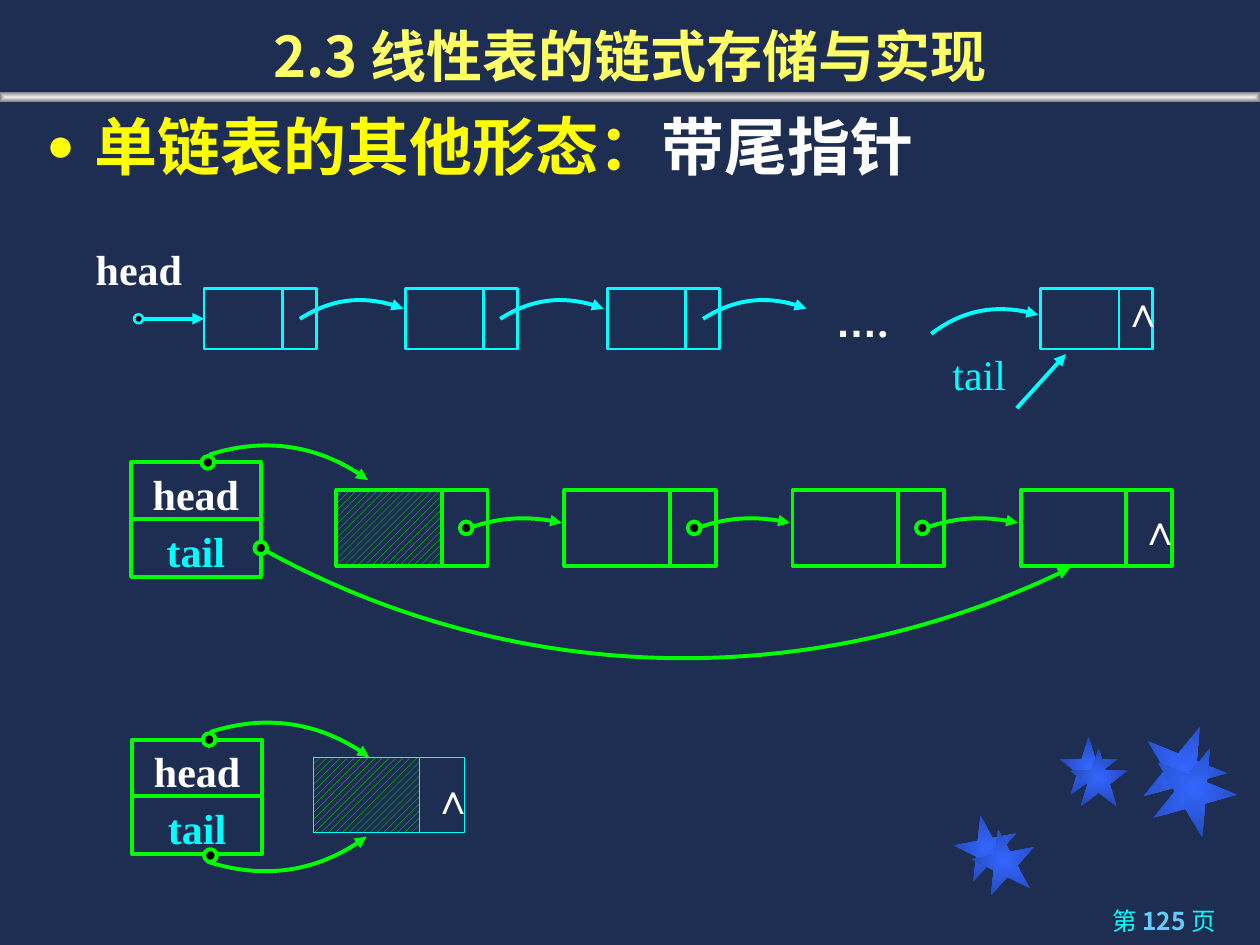
import pptx
import pptx.util
import pptx.dml.color
import pptx.enum.dml
import pptx.enum.shapes
import pptx.enum.text
import pptx.oxml.ns
from lxml import etree

Inches = pptx.util.Inches
Pt = pptx.util.Pt
SHAPE = pptx.enum.shapes.MSO_SHAPE
ALIGN = pptx.enum.text.PP_ALIGN
qn = pptx.oxml.ns.qn

COLORS = {
    "bg": "1E2E53", "cyan": "00FFFF", "green": "00FF00", "white": "FFFFFF",
    "yellow": "FFFF00", "title": "FFFF66", "number": "66CCFF", "black": "000000",
    "star": "3366FF", "star_edge": "2449B6", "bar": "EDEDED", "bar_edge": "808080",
}
CJK, SANS, SERIF = "Noto Sans CJK SC", "Arial", "Times New Roman"


def rgb(name):
    return pptx.dml.color.RGBColor.from_string(COLORS[name])


def set_line(sp, color, width, arrow=False):
    sp.line.color.rgb = rgb(color)
    sp.line.width = Pt(width)
    if arrow:
        etree.SubElement(sp.line._get_or_add_ln(), qn("a:tailEnd"), type="triangle")


def write_runs(p, runs, align):
    """Each run is (text, size, font, color, bold)."""
    p.alignment = align
    for text, size, font, color, bold in runs:
        r = p.add_run()
        r.text = text
        r.font.size, r.font.name, r.font.bold = Pt(size), font, bold
        r.font.color.rgb = rgb(color)
        etree.SubElement(r._r.get_or_add_rPr(), qn("a:ea"), typeface=CJK)


def add_text(s, box, runs, align=ALIGN.LEFT, anchor="TOP", inset=(0.1, 0.05), wrap=True):
    tf = s.shapes.add_textbox(*map(Inches, box)).text_frame
    tf.word_wrap = wrap
    tf.vertical_anchor = pptx.enum.text.MSO_ANCHOR[anchor]
    tf.margin_left = tf.margin_right = Inches(inset[0])
    tf.margin_top = tf.margin_bottom = Inches(inset[1])
    write_runs(tf.paragraphs[0], runs, align)
    return tf.paragraphs[0]


def add_label(s, x, y, w, run):
    add_text(s, (x, y, w, 0.4), [run], inset=(0, 0), wrap=False)


def add_null(s, x, y):
    add_label(s, x, y, 0.2, ("∧", 24, SANS, "white", True))


def add_box(s, x, y, w, h, color, width, hatched=False, shape=SHAPE.RECTANGLE):
    sp = s.shapes.add_shape(shape, Inches(x), Inches(y), Inches(w), Inches(h))
    sp.shadow.inherit = False
    set_line(sp, color, width)
    if hatched:
        sp.fill.patterned()
        sp.fill.pattern = pptx.enum.dml.MSO_PATTERN.WIDE_UPWARD_DIAGONAL
        sp.fill.fore_color.rgb = rgb("green")
        sp.fill.back_color.rgb = rgb("bg")
    else:
        sp.fill.background()
    return sp


def add_node(s, x, y, widths, h, color, line, hatched=False):
    data, pointer = widths
    add_box(s, x + data, y, pointer, h, color, line)
    return add_box(s, x, y, data, h, color, line, hatched)


def add_ring(s, cx, cy, size=0.1, color="green", line=2.25):
    sp = add_box(s, cx - size / 2, cy - size / 2, size, size, color, line, shape=SHAPE.OVAL)
    sp.fill.solid()
    sp.fill.fore_color.rgb = rgb("black")


def add_curve(s, points, color):
    """Draw a cubic curve, given by four points, with an arrowhead at its end."""
    start, *rest = [(Inches(x), Inches(y)) for x, y in points]
    fb = s.shapes.build_freeform(*start)
    fb.add_line_segments(rest, close=False)
    sp = fb.convert_to_shape()
    # Join the three segments into one Bezier segment
    segments = sp._element.findall(".//" + qn("a:lnTo"))
    outline = segments[0].getparent()
    bezier = etree.SubElement(outline, qn("a:cubicBezTo"))
    for segment in segments:
        bezier.append(segment[0])
        outline.remove(segment)
    sp.shadow.inherit = False
    sp.fill.background()
    set_line(sp, color, 2.25, arrow=True)


def add_arrow(s, start, end, color, target=None):
    c = s.shapes.add_connector(pptx.enum.shapes.MSO_CONNECTOR.STRAIGHT,
                               *map(Inches, start + end))
    if target is not None:
        c.end_connect(target, 1)
    set_line(c, color, 2.25, arrow=True)
    etree.SubElement(c._element.spPr, qn("a:effectLst"))


def add_gradient(s, shape, box, inner, outer, rotation=0):
    sp = s.shapes.add_shape(shape, *map(Inches, box))
    sp.shadow.inherit = False
    sp.line.fill.background()
    sp.rotation = rotation
    sp.fill.gradient()
    for stop, color in zip(sp.fill.gradient_stops, (inner, outer)):
        stop.color.rgb = rgb(color)
    lin = sp._element.spPr.find(".//" + qn("a:lin"))
    path = etree.Element(qn("a:path"), path="shape")
    etree.SubElement(path, qn("a:fillToRect"), l="50000", t="50000", r="50000", b="50000")
    lin.getparent().replace(lin, path)


def add_header_record(s, x, y):
    """Two stacked fields, head and tail, with the arrow that leaves head."""
    fields = (("head", 0, 0.45, "white"), ("tail", 0.45, 0.46, "cyan"))
    for text, dy, h, color in fields:
        tf = add_box(s, x, y + dy, 1.03, h, "green", 2.25).text_frame
        tf.margin_top = tf.margin_bottom = Inches(0.05)
        tf.vertical_anchor = pptx.enum.text.MSO_ANCHOR.TOP
        write_runs(tf.paragraphs[0], [(text, 24, SERIF, color, True)], ALIGN.CENTER)
    offsets = ((0.62, -0.06), (1.05, -0.2), (1.52, -0.13), (1.88, 0.14))
    add_curve(s, [(x + dx, y + dy) for dx, dy in offsets], "green")
    add_ring(s, x + 0.61, y)


def draw_frame(s):
    # Stars and title bar
    stars = ((7.58, 6.47, 0.5, 349), (8.41, 5.85, 0.46, 0), (9.06, 5.75, 0.67, 22),
             (7.72, 6.58, 0.5, 349), (8.49, 5.94, 0.46, 0), (9.14, 5.92, 0.67, 22))
    for x, y, size, rotation in stars:
        add_gradient(s, SHAPE.STAR_5_POINT, (x, y, size, size), "star", "star_edge", rotation)
    add_gradient(s, SHAPE.RECTANGLE, (0, 0.73, 10, 0.08), "bar", "bar_edge")

    # Page number, title and bullet
    add_text(s, (7.12, 7.14, 2.63, 0.36),
             [("第 ", 14, CJK, "cyan", False), ("125 ", 14, CJK, "number", True),
              ("页", 14, CJK, "cyan", False)], ALIGN.RIGHT)
    add_text(s, (0, 0, 10, 0.75), [("2.3 线性表的链式存储与实现", 32, CJK, "title", True)],
             ALIGN.CENTER, "BOTTOM")
    p = add_text(s, (0.27, 0.8, 9.45, 3.55), [("单链表的其他形态：", 36, SANS, "yellow", True),
                                              ("带尾指针", 36, SANS, "white", True)])
    pPr = p._p.get_or_add_pPr()
    pPr.set("marL", str(Inches(0.38)))
    pPr.set("indent", str(-Inches(0.38)))
    color = etree.SubElement(pPr, qn("a:buClr"))
    etree.SubElement(color, qn("a:srgbClr"), val=COLORS["yellow"])
    etree.SubElement(pPr, qn("a:buSzPct"), val="75000")
    etree.SubElement(pPr, qn("a:buFont"), typeface=SANS)
    etree.SubElement(pPr, qn("a:buChar"), char="●")


def draw_plain_list(s):
    nodes = []
    for x in (1.62, 3.22, 4.82, 8.26):
        nodes.append(add_node(s, x, 2.29, (0.62, 0.27), 0.48, "cyan", 1.5))
    for x in (2.38, 3.97, 5.58):
        add_curve(s, [(x, 2.53), (x + 0.25, 2.37), (x + 0.55, 2.34), (x + 0.82, 2.45)], "cyan")
    add_curve(s, [(7.39, 2.65), (7.64, 2.46), (7.95, 2.41), (8.24, 2.5)], "cyan")
    add_null(s, 8.91, 2.27)
    add_text(s, (6.46, 2.3, 0.76, 0.5), [("…", 24, SANS, "white", True),
                                        (".", 24, SERIF, "white", True)], ALIGN.CENTER)
    # Head and tail pointers
    add_arrow(s, (1.13, 2.53), (1.62, 2.53), "cyan", nodes[0])
    add_ring(s, 1.1, 2.53, 0.07, "cyan", 1.5)
    add_label(s, 0.76, 1.93, 0.69, ("head", 24, SERIF, "white", True))
    add_arrow(s, (8.07, 3.24), (8.46, 2.81), "cyan")
    add_label(s, 7.56, 2.77, 0.53, ("tail", 24, SERIF, "cyan", False))


def draw_record_list(s):
    add_header_record(s, 1.04, 3.67)
    add_curve(s, [(2.07, 4.35), (4.05, 5.45), (6.45, 5.51), (8.49, 4.51)], "green")
    add_ring(s, 2.07, 4.35)
    for i in range(4):
        x = 2.67 + 1.81 * i
        add_node(s, x, 3.89, (0.84, 0.36), 0.6, "green", 2.25, hatched=i == 0)
        if i < 3:
            add_curve(s, [(x + 1.03, 4.2), (x + 1.26, 4.11), (x + 1.54, 4.09),
                          (x + 1.79, 4.15)], "green")
            add_ring(s, x + 1.03, 4.19)
    add_null(s, 9.04, 4)


def draw_empty_list(s):
    add_node(s, 2.49, 6.01, (0.84, 0.36), 0.6, "cyan", 0.38, hatched=True)
    add_null(s, 3.43, 6.13)
    add_header_record(s, 1.05, 5.87)
    add_curve(s, [(1.65, 6.84), (2.09, 6.98), (2.55, 6.91), (2.91, 6.64)], "green")
    add_ring(s, 1.67, 6.79)


def main():
    prs = pptx.Presentation()
    prs.slide_width, prs.slide_height = Inches(10), Inches(7.5)
    s = prs.slides.add_slide(prs.slide_layouts[6])
    s.background.fill.solid()
    s.background.fill.fore_color.rgb = rgb("bg")
    draw_frame(s)
    draw_plain_list(s)
    draw_record_list(s)
    draw_empty_list(s)
    prs.save("out.pptx")


if __name__ == "__main__":
    main()
